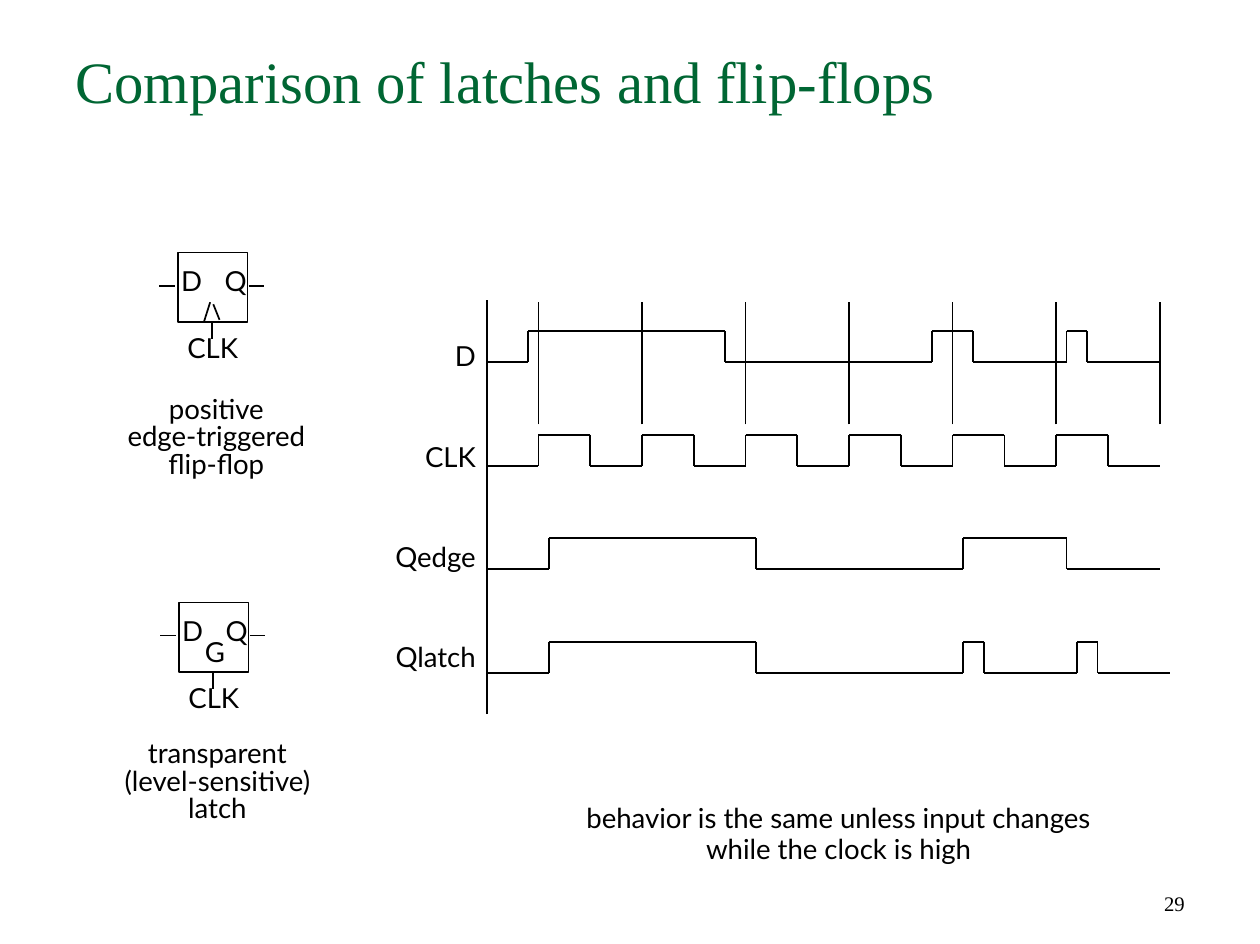
from itertools import pairwise

from lxml import etree
from pptx import Presentation
from pptx import util as u
from pptx.dml.color import RGBColor
from pptx.enum import shapes, text
from pptx.oxml.ns import qn

COLOURS = {"ink": "000000", "paper": "FFFFFF", "heading": "006633"}
ALIGN = text.PP_ALIGN
AXIS, END = 47, 112
SWING = 3
SIGNALS = [
    (35, [4, 23, 43, 47, 56, 58], 65),
    (45, range(5, 61, 5), 65),
    (55, [6, 26, 46, 56], 65),
    (65, [6, 26, 46, 48, 57, 59], 66),
]


def cell(count):
    """Return the length of a number of grid cells, twelve to the inch."""
    return u.Inches(count / 12)


def colour(name):
    """Look up a palette colour."""
    return RGBColor.from_string(COLOURS[name])


def style(paragraph, size, face, ink="ink"):
    """Format every run of a paragraph."""
    for run in paragraph.runs:
        run.font.size = u.Pt(size)
        run.font.name = face
        run.font.color.rgb = colour(ink)


def wire(parent, x1, y1, x2, y2):
    """Draw a thin straight line between two grid points."""
    line = parent.shapes.add_connector(
        shapes.MSO_CONNECTOR.STRAIGHT, *map(cell, (x1, y1, x2, y2)))
    line.line.color.rgb = colour("ink")
    line.line.width = u.Pt(1)
    etree.SubElement(line._element.spPr, qn("a:effectLst"))


def label(parent, area, words, leading, align=ALIGN.CENTER, gap=0, tab=None):
    """Write lines of text with exact leading in a grid area."""
    frame = parent.shapes.add_textbox(*map(cell, area)).text_frame
    frame.auto_size = text.MSO_AUTO_SIZE.NONE
    frame.word_wrap = False
    frame.margin_left = frame.margin_right = u.Inches(0.02)
    frame.margin_top = frame.margin_bottom = u.Inches(0.03)
    frame.text = words
    for index, paragraph in enumerate(frame.paragraphs):
        paragraph.alignment = align
        paragraph.line_spacing = u.Pt(leading)
        if gap and index:
            paragraph.space_before = u.Pt(gap)
        if tab:
            stops = etree.SubElement(
                paragraph._p.get_or_add_pPr(), qn("a:tabLst"))
            etree.SubElement(
                stops, qn("a:tab"), pos=str(u.Inches(tab)), algn="l")
        style(paragraph, 16, "Lato")


def storage_symbol(slide, x, y, caption, caption_drop, edge_triggered):
    """Draw a flip-flop or latch symbol with its clock and caption."""
    symbol = slide.shapes.add_group_shape()
    body = symbol.shapes.add_shape(
        shapes.MSO_SHAPE.RECTANGLE, *map(cell, (x, y, 6.7, 6.7)))
    body.shadow.inherit = False
    body.fill.solid()
    body.fill.fore_color.rgb = colour("paper")
    body.line.color.rgb = colour("ink")
    body.line.width = u.Pt(1)
    pins = [(-1.8, 3.2, -0.3, 3.2), (6.8, 3.2, 8.3, 3.2),
            (3.3, 6.8, 3.3, 8.4)]
    wedge = [(2.5, 6.7, 3.1, 4.8), (3.4, 5, 4, 6.5)]
    for x1, y1, x2, y2 in pins + (wedge if edge_triggered else []):
        wire(symbol, x + x1, y + y1, x + x2, y + y2)
    label(symbol, (x - 0.2, y + 1.6, 7.3, 4), "D\tQ", 13.9, tab=0.35)
    if not edge_triggered:
        label(symbol, (x + 0.1, y + 3.7, 6.7, 4), "G", 13.9)
    label(slide, (x - 1.8, y + 8.1, 10.3, 4.3), "CLK", 13.9)
    label(slide, (x - 7.7, y + caption_drop, 22.8, 10), caption, 16)


def waveform(slide, low, edges, stop):
    """Trace a signal that starts low and toggles at each edge."""
    level, points = low, [(AXIS, low)]
    for edge in edges:
        points.append((AXIS + edge, level))
        level = 2 * low - SWING - level
        points.append((AXIS + edge, level))
    points.append((AXIS + stop, level))
    for start, finish in pairwise(points):
        wire(slide, *start, *finish)


def timing_diagram(slide):
    """Draw the time axis, clock guides, signal names and waveforms."""
    wire(slide, AXIS, 69, AXIS, 29)
    for rising in range(AXIS + 5, END + 1, 10):
        wire(slide, rising, 41, rising, 29.2)
    label(slide, (34.2, 30.8, 12, 35.5), "D\nCLK\nQedge\nQlatch", 29,
          ALIGN.RIGHT, gap=29)
    for low, edges, stop in SIGNALS:
        waveform(slide, low, edges, stop)


def heading(slide, words):
    """Fill and place the title placeholder."""
    title = slide.shapes.title
    title.left, title.top, title.width, title.height = map(
        cell, (6.1, 3.7, 109.4, 15.1))
    frame = title.text_frame
    frame.text = words
    frame.vertical_anchor = text.MSO_ANCHOR.TOP
    frame.auto_size = text.MSO_AUTO_SIZE.NONE
    frame.paragraphs[0].alignment = ALIGN.LEFT
    style(frame.paragraphs[0], 34, "Times New Roman", "heading")


def page_number(slide, number):
    """Write the page number at the lower right."""
    frame = slide.shapes.add_textbox(
        *map(cell, (87.2, 83, 28.4, 6.1))).text_frame
    frame.word_wrap = True
    frame.vertical_anchor = text.MSO_ANCHOR.BOTTOM
    frame.text = number
    frame.paragraphs[0].alignment = ALIGN.RIGHT
    style(frame.paragraphs[0], 12, "Times New Roman")


def main():
    """Build and save the slide."""
    deck = Presentation()
    deck.slide_width, deck.slide_height = u.Inches(10.14), u.Inches(7.6)
    slide = deck.slides.add_slide(deck.slide_layouts[5])
    heading(slide, "Comparison of latches and flip-flops")
    storage_symbol(slide, 17.2, 24.4, "positive\nedge-triggered\nflip-flop",
                   13.6, True)
    storage_symbol(slide, 17.3, 58.2, "transparent\n(level-sensitive)\nlatch",
                   13.1, False)
    timing_diagram(slide)
    label(slide, (46.9, 77.2, 68.2, 7.7),
          "behavior is the same unless input changes\n"
          "while the clock is high", 18)
    page_number(slide, "29")
    deck.save("out.pptx")


if __name__ == "__main__":
    main()
